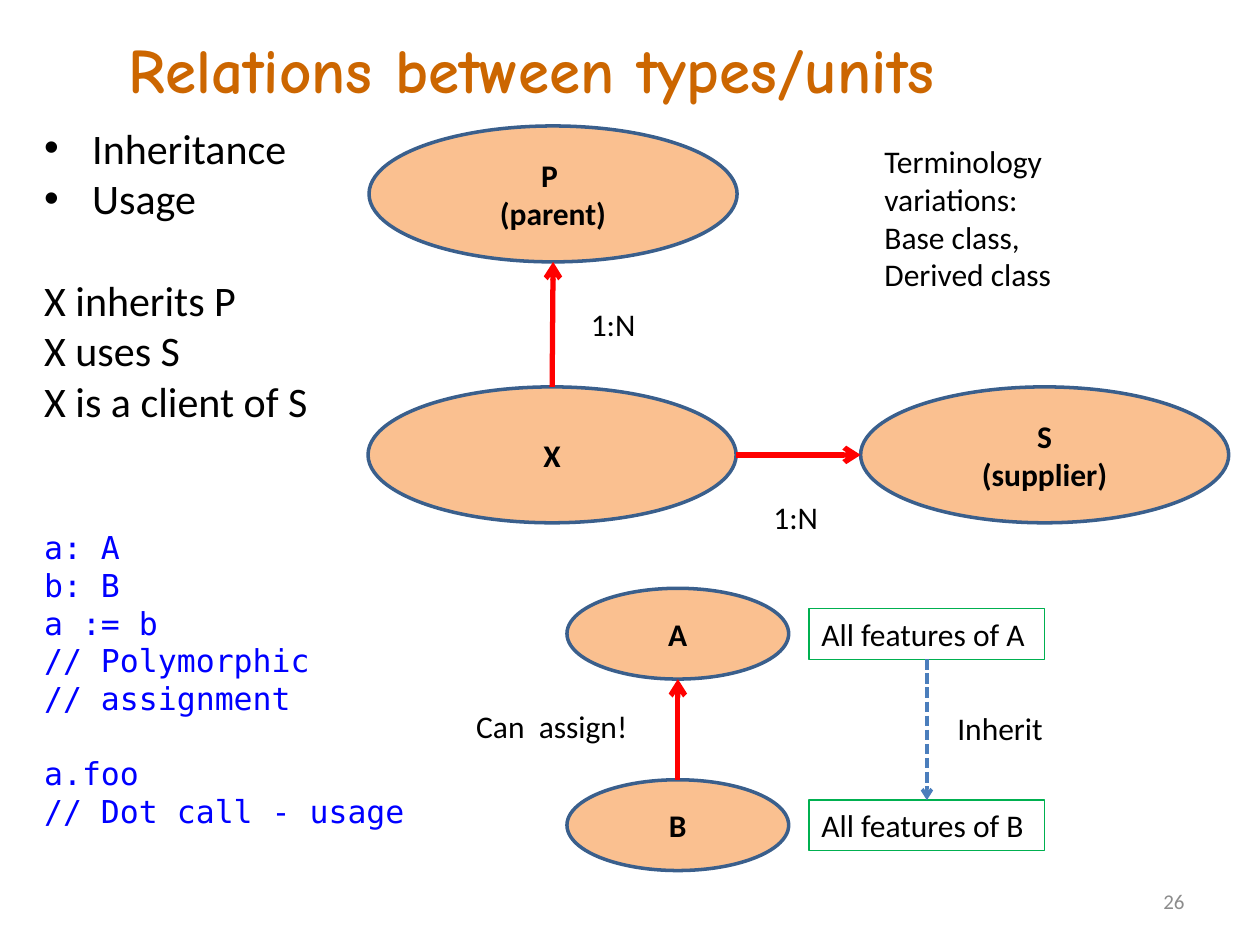
from dataclasses import dataclass

from lxml.etree import SubElement
from pptx import Presentation
from pptx.dml.color import RGBColor
from pptx.enum.dml import MSO_LINE
from pptx.enum.shapes import MSO_CONNECTOR, MSO_SHAPE
from pptx.enum.text import MSO_ANCHOR, MSO_AUTO_SIZE, PP_ALIGN
from pptx.oxml.ns import qn
from pptx.shapes.autoshape import Shape
from pptx.slide import Slide
from pptx.text.text import TextFrame
from pptx.util import Cm, Pt

TOP, LEFT, BOTTOM, RIGHT = range(4)
MONO = "DejaVu Sans Mono"


@dataclass
class Box:
    """A place on the slide in centimetres and the lines of text in it."""
    x: float
    y: float
    w: float
    h: float
    lines: tuple[str, ...] = ()

    def lengths(self) -> tuple[Cm, Cm, Cm, Cm]:
        """Return left, top, width and height as lengths."""
        return Cm(self.x), Cm(self.y), Cm(self.w), Cm(self.h)


def color(value: str) -> RGBColor:
    """Turn a hex string into a colour."""
    return RGBColor.from_string(value)


def add_text(tf: TextFrame, text: str, *, size: float = 18, font: str = "Calibri",
             fill: str = "000000", bold: bool = False, align: PP_ALIGN = PP_ALIGN.LEFT,
             before: float = 0, bullet: bool = False) -> None:
    """Add one formatted paragraph, using the empty first one if it is free."""
    p = tf.paragraphs[0] if not tf.paragraphs[0].runs else tf.add_paragraph()
    p.alignment = align
    p.space_before = Pt(before)
    r = p.add_run()
    r.text = text
    r.font.size, r.font.name, r.font.bold = Pt(size), font, bold
    r.font.color.rgb = color(fill)
    if bullet:
        pPr = p._p.get_or_add_pPr()
        pPr.set("marL", str(Cm(0.97)))
        pPr.set("indent", str(-Cm(0.97)))
        SubElement(pPr, qn("a:buFont"), typeface="Arial")
        SubElement(pPr, qn("a:buChar"), char="•")


def add_label(s: Slide, box: Box, **fmt) -> TextFrame:
    """Add a wrapping text box."""
    tf = s.shapes.add_textbox(*box.lengths()).text_frame
    tf.word_wrap = True
    for line in box.lines:
        add_text(tf, line, **fmt)
    return tf


def add_node(s: Slide, box: Box, kind: MSO_SHAPE, line: str, width: float,
             fill: str | None = None, **fmt) -> Shape:
    """Add an outlined shape with text."""
    sp = s.shapes.add_shape(kind, *box.lengths())
    sp.shadow.inherit = False
    if fill:
        sp.fill.solid()
        sp.fill.fore_color.rgb = color(fill)
    else:
        sp.fill.background()
    sp.line.color.rgb = color(line)
    sp.line.width = Pt(width)
    tf = sp.text_frame
    tf.word_wrap = True
    tf.vertical_anchor = MSO_ANCHOR.MIDDLE
    for text in box.lines:
        add_text(tf, text, **fmt)
    return sp


def add_ellipse(s: Slide, box: Box) -> Shape:
    """Add an ellipse that stands for a class."""
    return add_node(s, box, MSO_SHAPE.OVAL, "3A5F8C", 2, "FAC090",
                    bold=True, align=PP_ALIGN.CENTER)


def side(sp: Shape, i: int) -> tuple[int, int]:
    """Return the middle of a side of a shape."""
    mid_x, mid_y = sp.left + sp.width // 2, sp.top + sp.height // 2
    return ((mid_x, sp.top), (sp.left, mid_y),
            (mid_x, sp.top + sp.height), (sp.left + sp.width, mid_y))[i]


def add_arrow(s: Slide, start: Shape, start_side: int, end: Shape, end_side: int,
              line: str = "FF0000", width: float = 3, dashed: bool = False) -> None:
    """Draw an arrow between two shapes, joined where they are rectangles."""
    c = s.shapes.add_connector(MSO_CONNECTOR.STRAIGHT,
                               *side(start, start_side), *side(end, end_side))
    if start.auto_shape_type == MSO_SHAPE.RECTANGLE:
        c.begin_connect(start, start_side)
    if end.auto_shape_type == MSO_SHAPE.RECTANGLE:
        c.end_connect(end, end_side)
    c.line.color.rgb = color(line)
    c.line.width = Pt(width)
    if dashed:
        c.line.dash_style = MSO_LINE.SQUARE_DOT
    SubElement(c.line._get_or_add_ln(), qn("a:tailEnd"), type="arrow")
    SubElement(c._element.spPr, qn("a:effectLst"))


def add_title(s: Slide, box: Box) -> None:
    """Place and format the title placeholder."""
    title = s.shapes.title
    title.left, title.top, title.width, title.height = box.lengths()
    tf = title.text_frame
    tf.auto_size = MSO_AUTO_SIZE.NONE
    tf.vertical_anchor = MSO_ANCHOR.TOP
    for line in box.lines:
        add_text(tf, line, size=36, font="Comic Neue", fill="CC6600", bold=True)


def add_notes_column(s: Slide) -> None:
    """Add the column with the relations and the code sample."""
    tf = add_label(s, Box(0.64, 2.34, 7.82, 14.63))
    for text in ("Inheritance", "Usage"):
        add_text(tf, text, size=24, bullet=True)
    for text, before in (("X inherits P", 29.3), ("X uses S", 0), ("X is a client of S", 0)):
        add_text(tf, text, size=24, before=before)
    for text, before in (("a: A", 58.6), ("b: B", 0), ("a := b", 0), ("// Polymorphic", 0),
                         ("// assignment", 0), ("a.foo", 21), ("// Dot call - usage", 0)):
        add_text(tf, text, font=MONO, fill="0000FF", before=before)


def main() -> None:
    """Build the slide and save it."""
    prs = Presentation()
    prs.slide_width, prs.slide_height = Cm(25.4), Cm(19.05)
    s = prs.slides.add_slide(prs.slide_layouts[5])
    add_title(s, Box(2.34, 0.48, 22.56, 1.63, ("Relations between types/units",)))
    add_notes_column(s)

    x = add_ellipse(s, Box(7.42, 7.8, 7.42, 2.74, ("X",)))
    parent = add_ellipse(s, Box(7.44, 2.54, 7.42, 2.74, ("P ", "(parent)")))
    supplier = add_ellipse(s, Box(17.35, 7.8, 7.42, 2.74, ("S", "(supplier)")))
    a, b = (add_ellipse(s, Box(11.43, y, 4.47, 1.83, (name,)))
            for name, y in (("A", 11.86), ("B", 15.72)))
    features_a, features_b = (
        add_node(s, Box(16.31, y, 4.75, 1.02, (f"All features of {name}",)),
                 MSO_SHAPE.RECTANGLE, "00B050", 0.75)
        for name, y in (("A", 12.27), ("B", 16.13)))

    add_arrow(s, x, TOP, parent, BOTTOM)
    add_arrow(s, x, RIGHT, supplier, LEFT)
    add_arrow(s, b, TOP, a, BOTTOM)
    add_arrow(s, features_a, BOTTOM, features_b, TOP, "4B7EBC", 2, dashed=True)

    for box in (Box(11.66, 6.02, 1.47, 1.02, ("1:N",)),
                Box(15.34, 9.91, 1.47, 1.02, ("1:N",)),
                Box(9.35, 14.12, 3.81, 1.02, ("Can  assign!",)),
                Box(19.05, 14.17, 3.18, 1.02, ("Inherit",)),
                Box(17.58, 2.74, 5.92, 3.33,
                    ("Terminology variations:", "Base class,", "Derived class"))):
        add_label(s, box)
    number = add_label(s, Box(22.66, 17.65, 1.47, 1.02, ("26",)),
                       size=12, fill="8C8C8C", align=PP_ALIGN.RIGHT)
    number.vertical_anchor = MSO_ANCHOR.MIDDLE
    prs.save("out.pptx")


if __name__ == "__main__":
    main()
